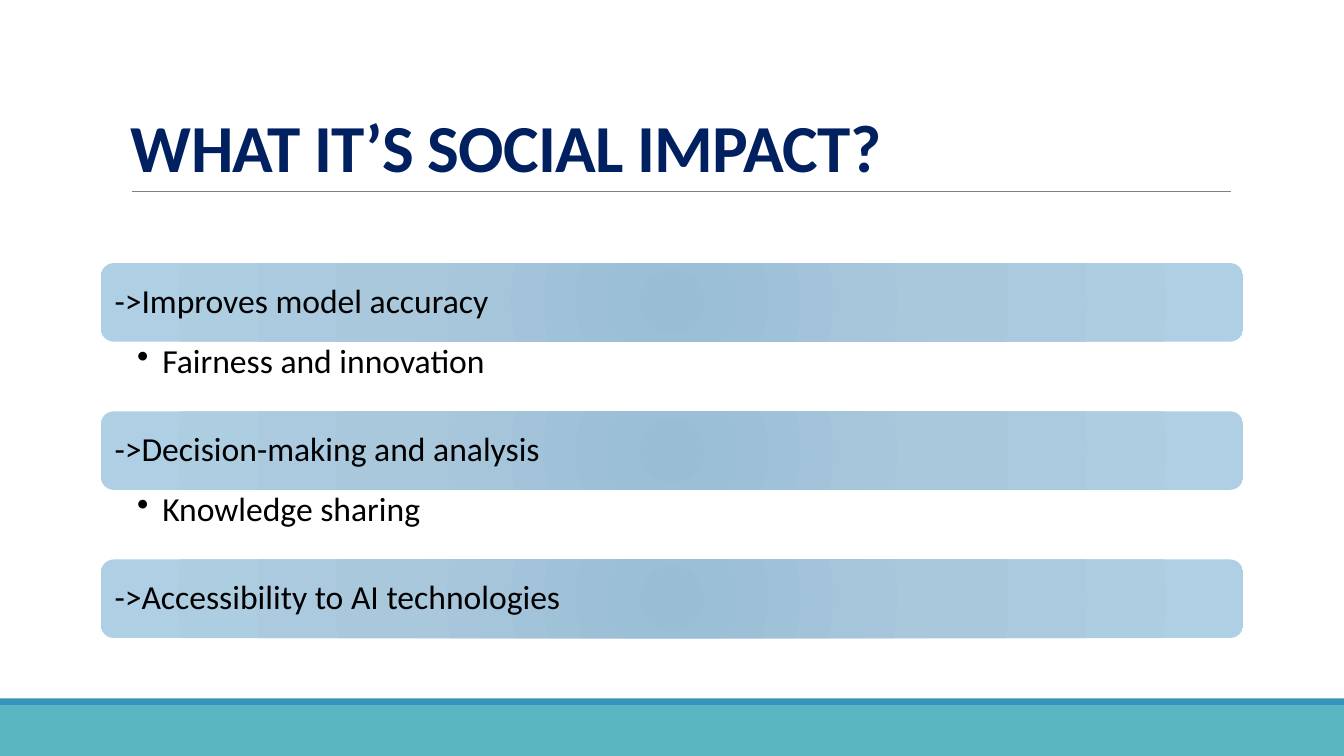
from pptx import Presentation
from pptx.util import Inches, Pt
from pptx.dml.color import RGBColor
from pptx.enum.shapes import MSO_SHAPE as Shape, MSO_CONNECTOR as Line
from pptx.enum.text import MSO_ANCHOR as Anchor
from pptx.oxml import parse_xml
from pptx.oxml.ns import nsdecls
from lxml import etree

# Content
TITLE = "WHAT IT’S SOCIAL IMPACT?"
POINTS = [
    ("->Improves model accuracy", "Fairness and innovation"),
    ("->Decision-making and analysis", "Knowledge sharing"),
    ("->Accessibility to AI technologies", None),
]

# Style
FONT = "Calibri"
NAVY = RGBColor(0x00, 0x20, 0x60)
BLACK = RGBColor(0x00, 0x00, 0x00)
GRAY = RGBColor(0x80, 0x80, 0x80)
TEAL = RGBColor(0x58, 0xB6, 0xC0)
BLUE = RGBColor(0x34, 0x94, 0xBA)
STOPS = [(0, "98BDD5"), (45, "A9C8DC"), (100, "AFCFE4")]

# Layout in inches
WIDE, HIGH = 13.33, 7.5
LEFT, TOP, SPAN = 1, 2.61, 11.33
BAR, SUB = 0.78, 0.69

deck = Presentation()
deck.slide_width, deck.slide_height = Inches(WIDE), Inches(HIGH)
slide = deck.slides.add_slide(deck.slide_layouts[6])
shapes = slide.shapes


def add_block(kind, x, y, w, h):
    block = shapes.add_shape(kind, *map(Inches, (x, y, w, h)))
    block.shadow.inherit = False
    block.line.fill.background()
    return block


def add_band(y, h, color):
    band = add_block(Shape.RECTANGLE, 0, y, WIDE, h)
    band.fill.solid()
    band.fill.fore_color.rgb = color


def set_text(box, text, size, color, space, anchor, pads):
    frame = box.text_frame
    frame.word_wrap = True
    frame.vertical_anchor = anchor
    (frame.margin_left, frame.margin_top,
     frame.margin_right, frame.margin_bottom) = map(Inches, pads)
    para = frame.paragraphs[0]
    para.text = text
    para.line_spacing = space
    para.alignment = 1
    para.font.name, para.font.size = FONT, Pt(size)
    para.font.color.rgb = color
    return para


def add_glow(shape):
    stops = "".join(
        f'<a:gs pos="{pos * 1000}"><a:srgbClr val="{tint}"/></a:gs>'
        for pos, tint in STOPS)
    grad = parse_xml(
        f'<a:gradFill {nsdecls("a")} rotWithShape="1"><a:gsLst>{stops}</a:gsLst>'
        '<a:path path="circle"><a:fillToRect l="100000" t="100000" '
        'r="100000" b="100000"/></a:path></a:gradFill>')
    shape._element.spPr.insert(2, grad)


def add_bullet(para):
    props = para._p.get_or_add_pPr()
    props.set("marL", str(Inches(0.25)))
    props.set("indent", str(-Inches(0.25)))
    mark = parse_xml(f'<a:buChar {nsdecls("a")} char="•"/>')
    props.insert_element_before(mark, "a:tabLst", "a:defRPr", "a:extLst")


# Footer bands
add_band(7, 0.5, TEAL)
add_band(6.93, 0.07, BLUE)

# Title and rule
rule = shapes.add_connector(
    Line.STRAIGHT, *map(Inches, (1.31, 1.9, 12.21, 1.9)))
rule.line.color.rgb = GRAY
rule.line.width = Pt(0.5)
etree.SubElement(
    rule._element.spPr,
    "{http://schemas.openxmlformats.org/drawingml/2006/main}effectLst")

head = shapes.add_textbox(*map(Inches, (1.2, 0.31, 11, 1.59)))
para = set_text(head, TITLE, 48, NAVY, 0.85, Anchor.BOTTOM,
                (0.1, 0.05, 0.1, 0.05))
para.font.bold = True
para.runs[0].font._element.set("spc", "-50")

# Bars with their bullets
for i, (point, detail) in enumerate(POINTS):
    y = TOP + i * (BAR + SUB)
    bar = add_block(Shape.ROUNDED_RECTANGLE, LEFT, y, SPAN, BAR)
    add_glow(bar)
    set_text(bar, point, 24, BLACK, 0.9, Anchor.MIDDLE, (0.1,) * 4)
    if detail:
        box = shapes.add_textbox(*map(Inches, (LEFT, y + BAR, SPAN, SUB)))
        para = set_text(box, detail, 24, BLACK, 0.9, Anchor.TOP,
                        (0.36, 0.03, 0.19, 0.03))
        add_bullet(para)

deck.save("out.pptx")
